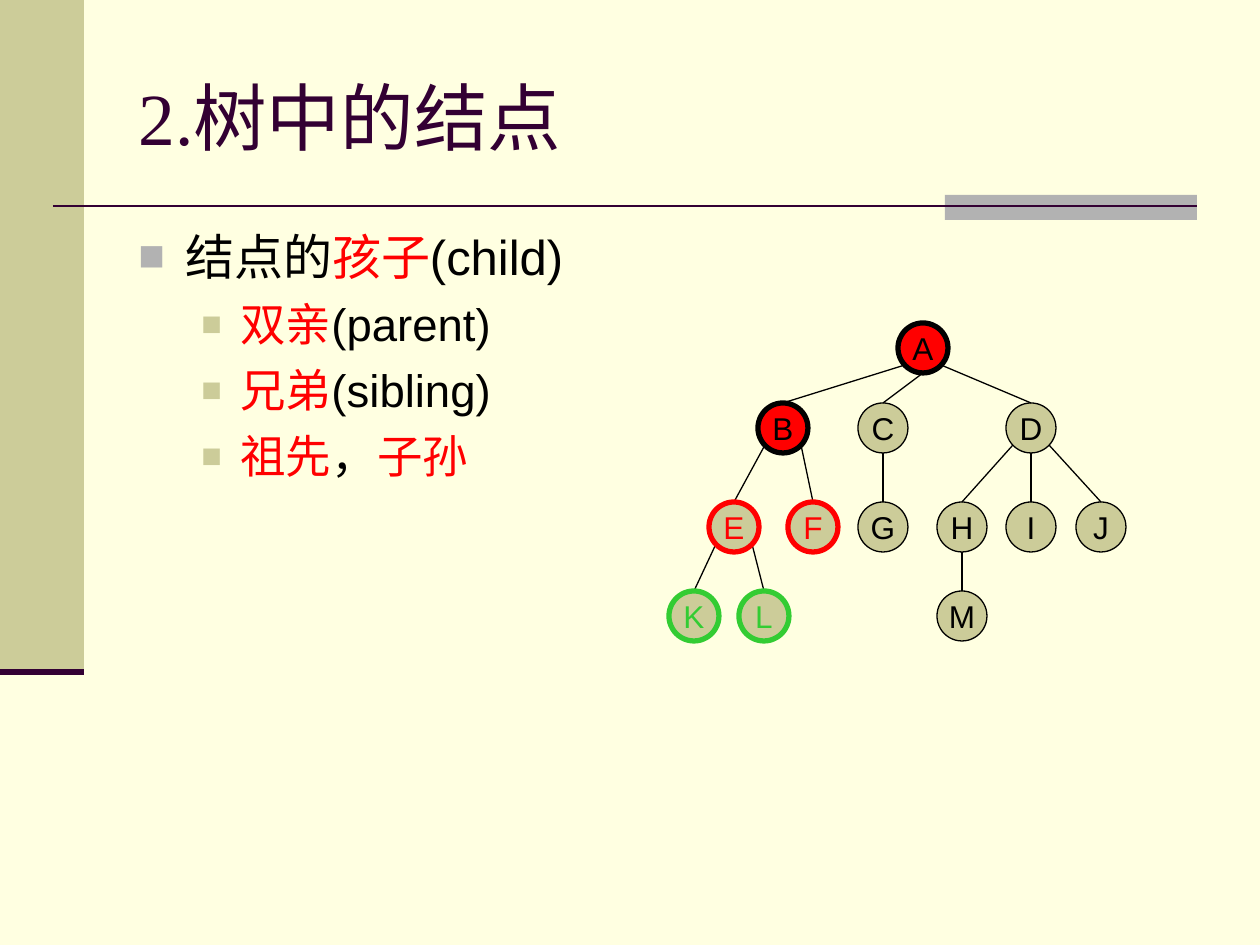
from lxml import etree
from pptx import Presentation
from pptx import util as u
from pptx.dml.color import RGBColor
from pptx.enum import shapes, text
from pptx.oxml.ns import qn

COLORS = {"paper": "FFFFE1", "khaki": "CCCC99", "gray": "B2B2B2", "plum": "330033",
          "black": "000000", "red": "FF0000", "green": "33CC33"}
SCALE = 914400 / 126
RADIUS = 25


def px(*lengths):
    """Turn pixels into EMU."""
    return [round(length * SCALE) for length in lengths]


def rgb(name):
    """Return the named colour."""
    return RGBColor.from_string(COLORS[name])


class Board:
    """Holds the style and the current slide."""

    def __init__(self, deck):
        """Add a blank slide with the paper background."""
        self.slide = deck.slides.add_slide(deck.slide_layouts[6])
        fill = self.slide.background.fill
        fill.solid()
        fill.fore_color.rgb = rgb("paper")

    def block(self, box, fill, kind=shapes.MSO_SHAPE.RECTANGLE):
        """Add a filled preset shape without a line."""
        block = self.slide.shapes.add_shape(kind, *px(*box))
        block.shadow.inherit = False
        block.fill.solid()
        block.fill.fore_color.rgb = rgb(fill)
        block.line.fill.background()
        return block

    def rule(self, start, end, color="black", width=0.75):
        """Add a straight line."""
        rule = self.slide.shapes.add_connector(
            shapes.MSO_CONNECTOR.STRAIGHT, *px(*start, *end))
        rule.line.color.rgb = rgb(color)
        rule.line.width = u.Pt(width)
        etree.SubElement(rule._element.spPr, qn("a:effectLst"))

    def wording(self, paragraph, pieces, size, font="Arial"):
        """Fill a paragraph with coloured pieces of text."""
        for words, color in pieces:
            run = paragraph.add_run()
            run.text = words
            run.font.size = u.Pt(size)
            run.font.name = font
            run.font.color.rgb = rgb(color)

    def textbox(self, box, anchor):
        """Add a wrapping text box and return its frame."""
        frame = self.slide.shapes.add_textbox(*px(*box)).text_frame
        frame.word_wrap = True
        frame.vertical_anchor = anchor
        return frame

    def bullet(self, paragraph, level, margin, hang, before, color, percent):
        """Give a paragraph a square bullet with a hanging indent."""
        paragraph.level = level
        paragraph.space_before = u.Pt(before)
        props = paragraph._p.get_or_add_pPr()
        left, indent = px(margin, -hang)
        props.set("marL", str(left))
        props.set("indent", str(indent))
        tint = etree.SubElement(props, qn("a:buClr"))
        etree.SubElement(tint, qn("a:srgbClr"), val=COLORS[color])
        etree.SubElement(props, qn("a:buSzPct"), val=str(percent * 1000))
        etree.SubElement(props, qn("a:buFont"), typeface="Arial")
        etree.SubElement(props, qn("a:buChar"), char="■")

    def node(self, label, center, fill="khaki", line="black", width=0.75, ink="black"):
        """Add a round tree node with its letter."""
        x, y = center
        box = (x - RADIUS, y - RADIUS, 2 * RADIUS, 2 * RADIUS)
        node = self.block(box, fill, shapes.MSO_SHAPE.OVAL)
        node.line.color.rgb = rgb(line)
        node.line.width = u.Pt(width)
        frame = node.text_frame
        frame.word_wrap = False
        frame.vertical_anchor = text.MSO_ANCHOR.MIDDLE
        frame.paragraphs[0].alignment = text.PP_ALIGN.CENTER
        self.wording(frame.paragraphs[0], [(label, ink)], 18)

    def branches(self, parent, children):
        """Join a parent to its children, fanning out from its lower rim."""
        x, y = parent
        middle = (len(children) - 1) / 2
        for i, (child_x, child_y) in enumerate(children):
            side = (i > middle) - (i < middle)
            drop = 17 if side else RADIUS
            self.rule((x + 18 * side, y + drop), (child_x, child_y - RADIUS))


deck = Presentation()
deck.slide_width, deck.slide_height = px(1260, 945)
board = Board(deck)

board.block((0, 0, 84, 672), "khaki")
board.block((945, 195, 252, 25), "gray")
board.rule((53, 206), (1197, 206), "plum", 1.5)
board.rule((0, 672), (84, 672), "plum", 3.5)

title = board.textbox((126, 38, 1071, 157), text.MSO_ANCHOR.MIDDLE)
board.wording(title.paragraphs[0], [("2.树中的结点", "plum")], 42, "Times New Roman")

TOP_STYLE = (0, 47, 47, 7, "gray", 90)
SUB_STYLE = (1, 102, 39, 6.5, "khaki", 75)
TERMS = [
    (TOP_STYLE, 28, [("结点的", "black"), ("孩子", "red"), ("(child)", "black")]),
    (SUB_STYLE, 26, [("双亲", "red"), ("(parent)", "black")]),
    (SUB_STYLE, 26, [("兄弟", "red"), ("(sibling)", "black")]),
    (SUB_STYLE, 26, [("祖先", "red"), ("\uff0c", "black"), ("子孙", "red")]),
]
terms = board.textbox((126, 220, 1071, 624), text.MSO_ANCHOR.TOP)
for i, (style, size, pieces) in enumerate(TERMS):
    term = terms.add_paragraph() if i else terms.paragraphs[0]
    board.bullet(term, *style)
    board.wording(term, pieces, size)

LEVELS = {
    348: {"A": 923},
    428: {"B": 783, "C": 883, "D": 1031},
    527: {"E": 734, "F": 813, "G": 883, "H": 962, "I": 1031, "J": 1101},
    616: {"K": 694, "L": 764, "M": 962},
}
CENTERS = {name: (x, y) for y, row in LEVELS.items() for name, x in row.items()}
CHILDREN = {"A": "BCD", "B": "EF", "C": "G", "D": "HIJ", "E": "KL", "H": "M"}
ANCESTOR = ("red", "black", 3, "black")
CHILD = ("khaki", "red", 3, "red")
GRANDCHILD = ("khaki", "green", 3, "green")
MARKED = {"E": CHILD, "K": GRANDCHILD, "L": GRANDCHILD,
          "B": ANCESTOR, "A": ANCESTOR, "F": CHILD}

for name in CENTERS:
    if name not in MARKED:
        board.node(name, CENTERS[name])
for parent, children in CHILDREN.items():
    board.branches(CENTERS[parent], [CENTERS[child] for child in children])
for name, style in MARKED.items():
    board.node(name, CENTERS[name], *style)

deck.save("out.pptx")
